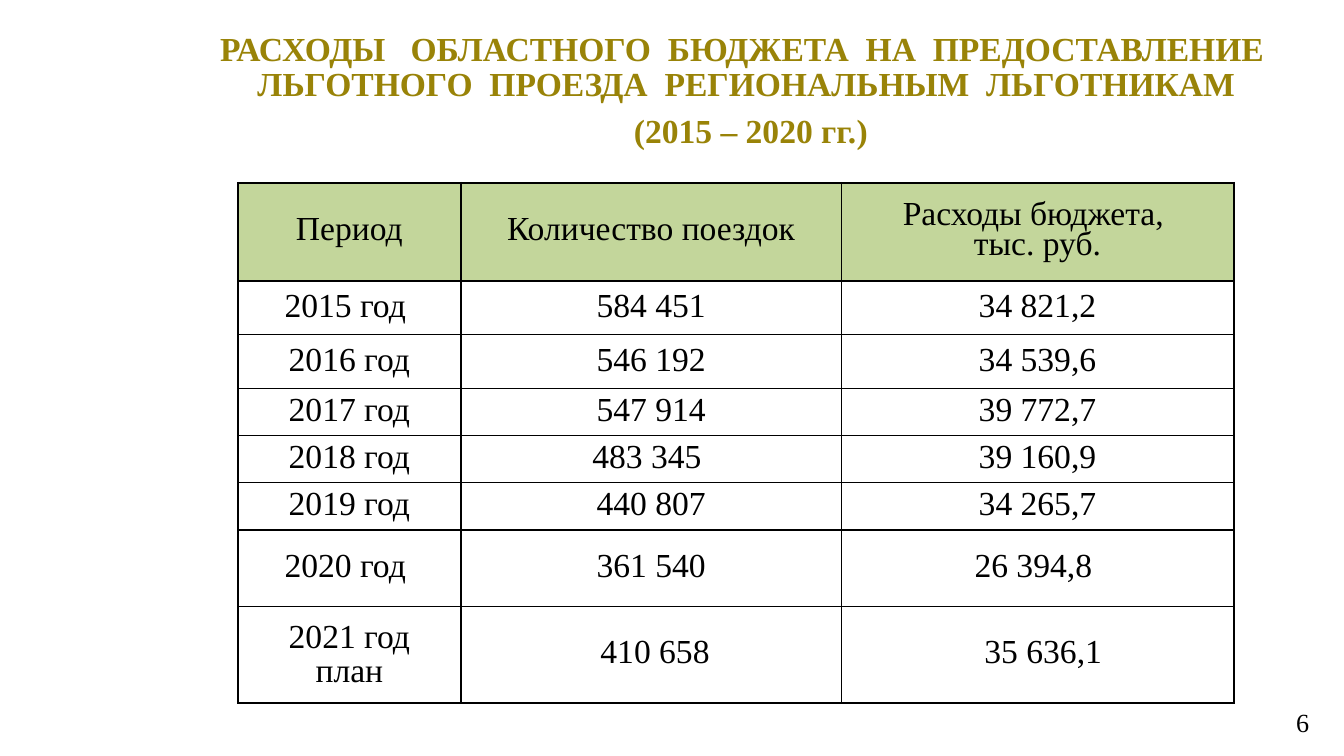
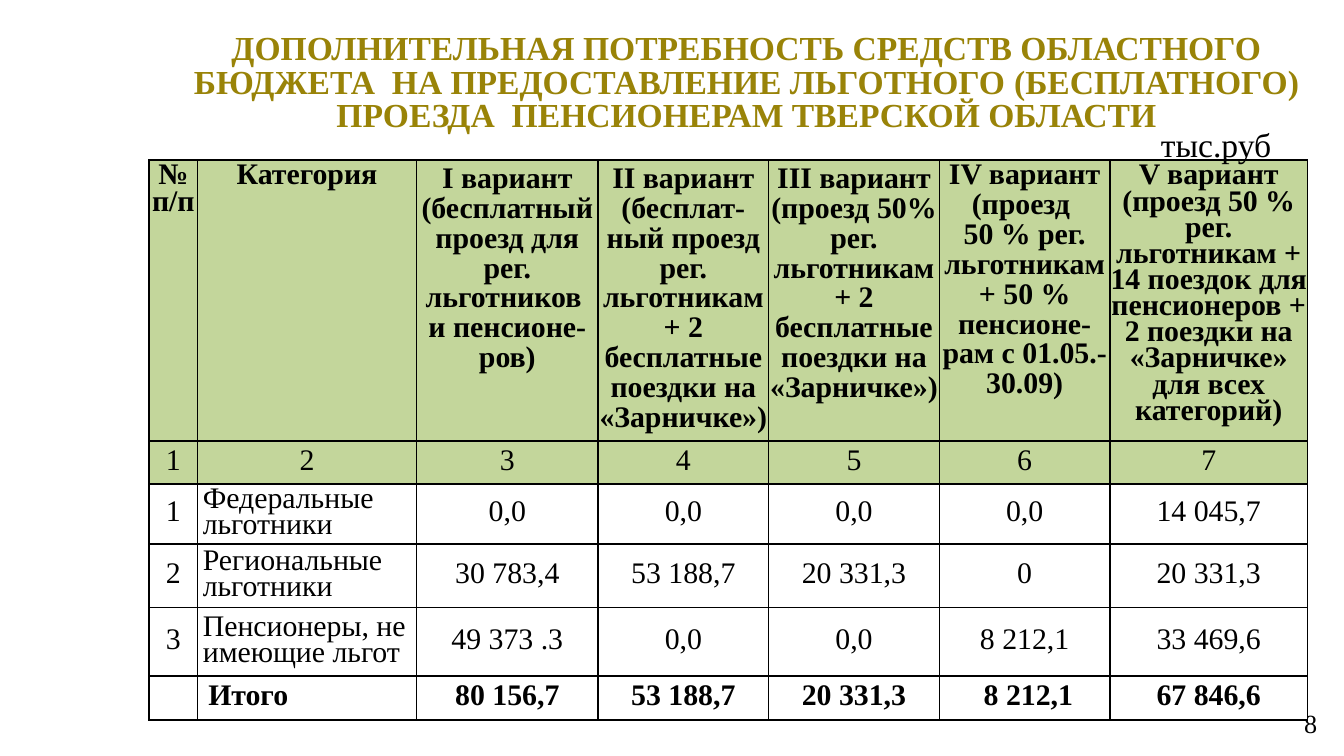
from dataclasses import dataclass, replace

from lxml import etree
from pptx import Presentation
from pptx.dml.color import RGBColor
from pptx.enum.text import MSO_ANCHOR as Anchor, MSO_AUTO_SIZE as AutoSize, PP_ALIGN as Align
from pptx.oxml.ns import qn
from pptx.util import Inches, Pt

FONT = "Times New Roman"
BLACK, WHITE, GREEN = "000000", "FFFFFF", "C3D69B"
GOLD, DEEP_GOLD = "998308", "998307"
TIGHT = (0, 0.04, 0, 0.02)
ROOMY = (0.1, 0.05, 0.1, 0.05)
TITLE_INSETS = (0.07, 0.04, 0.07, 0.04)


@dataclass(frozen=True)
class CellStyle:
    """Look of one table cell; spacing holds points per paragraph."""
    size: int = 16
    bold: bool = False
    fill: str = WHITE
    align: Align = Align.CENTER
    anchor: Anchor = Anchor.MIDDLE
    insets: tuple = TIGHT
    spacing: tuple = (14,)


def color(value):
    """Turn a hex string into a colour."""
    return RGBColor.from_string(value)


def add_run(paragraph, text, size, value=BLACK, bold=False):
    """Add one formatted run."""
    run = paragraph.add_run()
    run.text = text
    run.font.name = FONT
    run.font.size = Pt(size)
    run.font.bold = bold
    run.font.color.rgb = color(value)


def set_insets(target, insets):
    """Set left, top, right and bottom margins in inches."""
    target.margin_left, target.margin_top, target.margin_right, target.margin_bottom = map(Inches, insets)


def add_title(slide, box, paragraphs, spacing, after=0):
    """Place the title and fill it with coloured runs."""
    title = slide.shapes.title
    title.left, title.top, title.width, title.height = map(Inches, box)
    frame = title.text_frame
    frame.word_wrap = True
    frame.auto_size = AutoSize.SHAPE_TO_FIT_TEXT
    frame.vertical_anchor = Anchor.TOP
    set_insets(frame, TITLE_INSETS)
    for index, runs in enumerate(paragraphs):
        paragraph = frame.add_paragraph() if index else frame.paragraphs[0]
        paragraph.alignment = Align.CENTER
        paragraph.line_spacing = Pt(spacing)
        paragraph.space_before = Pt(0)
        paragraph.space_after = Pt(after)
        for text, value in runs:
            add_run(paragraph, text, 18, value, True)


def add_label(slide, box, text, size, align=Align.LEFT, anchor=Anchor.TOP):
    """Add a one-line text box."""
    frame = slide.shapes.add_textbox(*map(Inches, box)).text_frame
    frame.word_wrap = True
    frame.vertical_anchor = anchor
    frame.paragraphs[0].alignment = align
    add_run(frame.paragraphs[0], text, size)


def add_page_number(slide, left, top, number):
    """Add the page number at the lower right."""
    add_label(slide, (left, top, 2.33, 0.4), number, 14, Align.RIGHT, Anchor.MIDDLE)


def add_borders(cell):
    """Draw a thin black line on each side of a cell."""
    properties = cell._tc.get_or_add_tcPr()
    for side in ("a:lnL", "a:lnR", "a:lnT", "a:lnB"):
        line = etree.SubElement(properties, qn(side), w=str(Pt(1)))
        fill = etree.SubElement(line, qn("a:solidFill"))
        etree.SubElement(fill, qn("a:srgbClr"), val=BLACK)


def fill_cell(cell, text, style):
    """Write a cell: newline parts paragraphs, vertical tab breaks a line."""
    add_borders(cell)
    cell.fill.solid()
    cell.fill.fore_color.rgb = color(style.fill)
    cell.vertical_anchor = style.anchor
    set_insets(cell, style.insets)
    frame = cell.text_frame
    for index, content in enumerate(text.split("\n")):
        paragraph = frame.add_paragraph() if index else frame.paragraphs[0]
        paragraph.alignment = style.align
        if style.spacing:
            paragraph.line_spacing = Pt(style.spacing[min(index, len(style.spacing) - 1)])
        if not content:
            etree.SubElement(paragraph._p, qn("a:endParaRPr"), sz=str(style.size * 100))
            continue
        for part, line in enumerate(content.split("\v")):
            if part:
                paragraph.add_line_break()
            add_run(paragraph, line, style.size, BLACK, style.bold)


def add_grid(slide, left, top, widths, heights, rows, style_at):
    """Add a table whose cell styles come from style_at(row, column)."""
    box = map(Inches, (left, top, sum(widths), sum(heights)))
    table = slide.shapes.add_table(len(heights), len(widths), *box).table
    table.first_row = table.horz_banding = False
    for column, width in zip(table.columns, widths):
        column.width = Inches(width)
    for row, height in zip(table.rows, heights):
        row.height = Inches(height)
    for row, texts in enumerate(rows):
        for column, text in enumerate(texts):
            fill_cell(table.cell(row, column), text, style_at(row, column))


def expense_style(row, column):
    """Style the cells of the yearly expense table."""
    base = CellStyle(size=18, spacing=(18,), insets=ROOMY)
    if row == 0:
        return replace(base, fill=GREEN, insets=TIGHT, spacing=(16,))
    if row < 3:
        return replace(base, anchor=Anchor.TOP, spacing=())
    if row < 7:
        return base
    if column == 0:
        return replace(base, insets=TIGHT)
    return replace(base, align=Align.RIGHT, insets=(0.08, 0.04, 0.98, 0.02), spacing=(16,))


def variant_style(row, column):
    """Style the cells of the variant comparison table."""
    if row == 0:
        spacing = {2: (16,), 3: (16,), 4: (16,), 5: (14, 16)}.get(column, (14,))
        return CellStyle(bold=True, fill=GREEN, anchor=Anchor.TOP, spacing=spacing)
    style = CellStyle(bold=row == 5, fill=GREEN if row == 1 else WHITE)
    if column == 1 and row > 1:
        indent = 0.08 if row == 5 else 0.04
        return replace(style, align=Align.LEFT, insets=(indent, 0.04, 0, 0.02))
    return style


def build_expenses(slide):
    """Build the slide on yearly expenses."""
    add_page_number(slide, 7.51, 5.17, "6")
    add_title(slide, (1.11, 0.2, 8.89, 0.96), [
        [("РАСХОДЫ   ОБЛАСТНОГО  БЮДЖЕТА  НА  ПРЕДОСТАВЛЕНИЕ  ЛЬГОТНОГО  ПРОЕЗДА  "
          "РЕГИОНАЛЬНЫМ  ЛЬГОТНИКАМ", GOLD)],
        [(" (", DEEP_GOLD), ("2015 – 2020 гг.", GOLD), (")", DEEP_GOLD)],
    ], 19, 6)
    rows = [
        ("Период", "Количество поездок", "Расходы бюджета, \nтыс. руб."),
        ("2015 год ", "584 451", "34 821,2"),
        ("2016 год", "546 192", "34 539,6"),
        ("2017 год", "547 914", "39 772,7"),
        ("2018 год", "483 345 ", "39 160,9"),
        ("2019 год", "440 807", "34 265,7"),
        ("2020 год ", "361 540", "26 394,8 "),
        ("2021 год\nплан", "410 658", "35 636,1"),
    ]
    heights = [0.73, 0.4, 0.4, 0.35, 0.35, 0.35, 0.57, 0.72]
    add_grid(slide, 1.77, 1.36, [1.66, 2.83, 2.92], heights, rows, expense_style)


def build_variants(slide):
    """Build the slide comparing the funding variants."""
    add_page_number(slide, 7.57, 5.18, "8")
    add_title(slide, (1.11, 0.21, 8.89, 0.83), [[
        ("ДОПОЛНИТЕЛЬНАЯ ПОТРЕБНОСТЬ СРЕДСТВ ОБЛАСТНОГО БЮДЖЕТА  НА ПРЕДОСТАВЛЕНИЕ ЛЬГОТНОГО", GOLD),
        (" (БЕСПЛАТНОГО) ПРОЕЗДА ", DEEP_GOLD),
        (" ПЕНСИОНЕРАМ ТВЕРСКОЙ ОБЛАСТИ", GOLD),
    ]], 18)
    rows = [
        ("№ п/п", "Категория",
         "I вариант\n(бесплатный проезд для рег. льготников \vи пенсионе-ров)",
         "II вариант\n(бесплат-ный проезд рег. льготникам + 2 бесплатные поездки на «Зарничке»)",
         "III вариант\n(проезд 50% рег. льготникам + 2 бесплатные поездки на «Зарничке»)",
         "IV вариант\n(проезд \v50 % рег. льготникам + 50 % пенсионе-рам с 01.05.- 30.09)",
         "V вариант\n(проезд 50 % рег. льготникам + 14 поездок для пенсионеров + "
         "2 поездки на «Зарничке» для всех категорий)"),
        tuple("1234567"),
        ("1", "Федеральные льготники", "0,0", "0,0", "0,0", "0,0", "14 045,7"),
        ("2", "Региональные\nльготники", "30 783,4", "53 188,7", "20 331,3", "0", "20 331,3"),
        ("3", "Пенсионеры, не имеющие льгот", "49 373 .3", "0,0", "0,0", "8 212,1", "33 469,6"),
        ("", "Итого", "80 156,7", "53 188,7", "20 331,3", " 8 212,1", "67 846,6"),
    ]
    widths = [0.36, 1.63, 1.35, 1.27, 1.27, 1.27, 1.47]
    heights = [2.09, 0.32, 0.45, 0.47, 0.51, 0.32]
    add_grid(slide, 1.11, 1.19, widths, heights, rows, variant_style)
    add_label(slide, (8.54, 0.87, 1.26, 0.4), "тыс.руб", 18)


def main():
    """Build and save the presentation."""
    presentation = Presentation()
    presentation.slide_width = Inches(10)
    presentation.slide_height = presentation.slide_width * 9 // 16
    for build in (build_expenses, build_variants):
        build(presentation.slides.add_slide(presentation.slide_layouts[5]))
    presentation.save("out.pptx")


if __name__ == "__main__":
    main()
